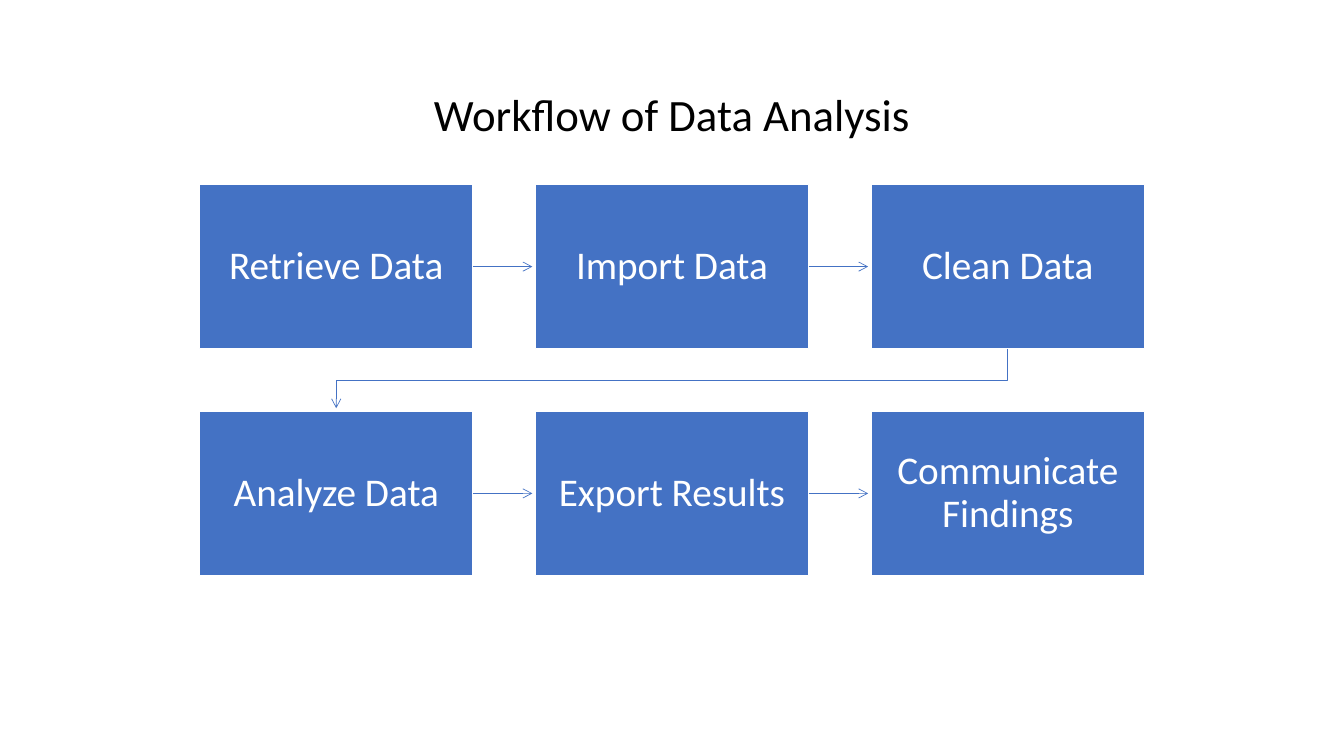
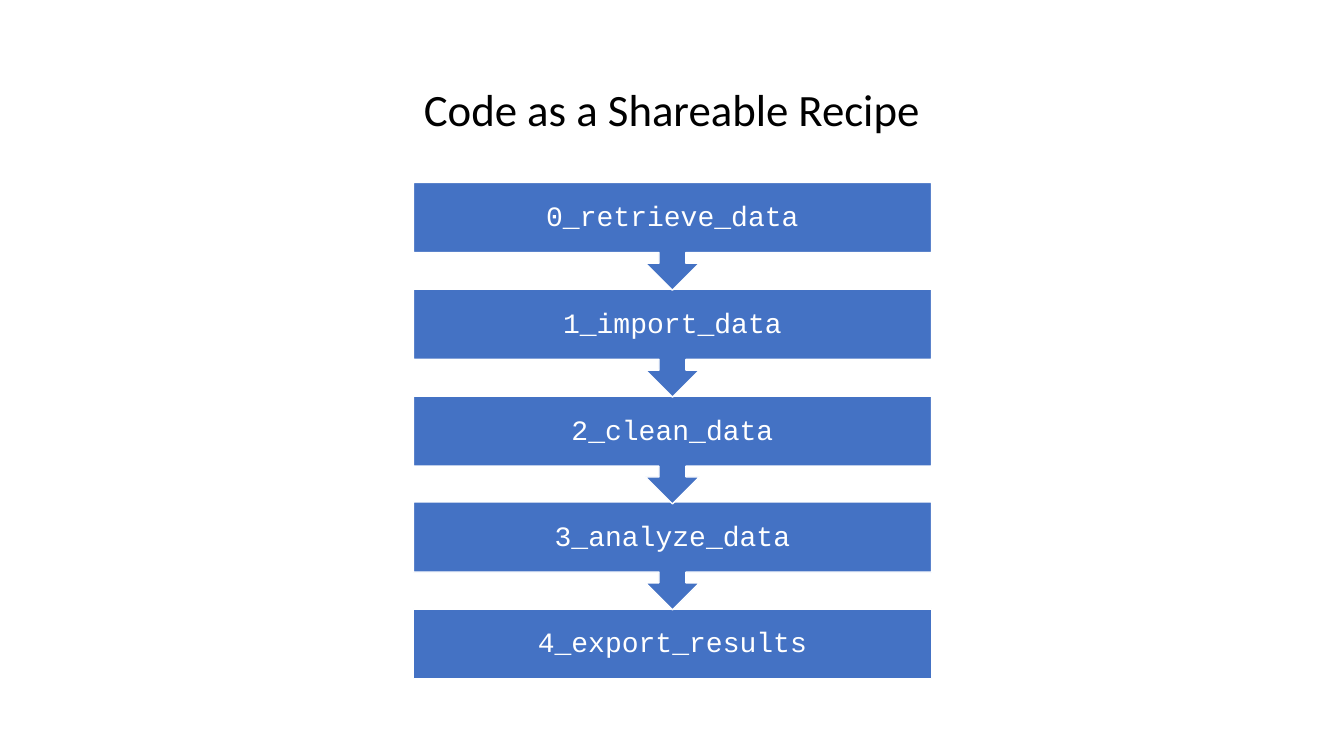
from dataclasses import dataclass

from lxml import etree
from pptx import Presentation
from pptx import util as u
from pptx.dml.color import RGBColor
from pptx.enum import shapes, text
from pptx.oxml.ns import qn

# Shared style
PX = 9144  # EMU in one px, 100 px to the inch
SLIDE_WIDTH, SLIDE_HEIGHT = 1333, 750
BLUE = RGBColor(0x44, 0x72, 0xC4)
WHITE = RGBColor(0xFF, 0xFF, 0xFF)
BLACK = RGBColor(0x00, 0x00, 0x00)
BODY_FONT, CODE_FONT = "Calibri", "Courier New"
RIGHT_SIDE = 3


@dataclass(frozen=True)
class TextStyle:
    font: str
    size: int
    color: RGBColor
    line_spacing: float = 1.0


@dataclass(frozen=True)
class Box:
    label: str
    left: int
    top: int
    width: int
    height: int


TITLE_STYLE = TextStyle(BODY_FONT, 32, BLACK)
STEP_STYLE = TextStyle(BODY_FONT, 28, WHITE, 0.9)
CODE_STYLE = TextStyle(CODE_FONT, 20, WHITE, 0.9)

# Workflow grid
WORKFLOW = [
    ["Retrieve Data", "Import Data", "Clean Data"],
    ["Analyze Data", "Export Results", "Communicate Findings"],
]
GRID_LEFT, GRID_TOP = 198, 183
STEP_WIDTH, STEP_HEIGHT = 271, 163
COLUMN_PITCH, ROW_PITCH = 333, 225
ARROW_LENGTH, TURN_DROP = 59, 31

# Stack of scripts
SCRIPTS = ["0_retrieve_data", "1_import_data", "2_clean_data",
           "3_analyze_data", "4_export_results"]
STACK_LEFT, STACK_TOP, STACK_WIDTH = 410, 181, 514
BAR_HEIGHT, CALLOUT_HEIGHT = 69, 107
STACK_SPAN = 423  # first bar top to last bar top


def px(length: int) -> u.Emu:
    return u.Emu(length * PX)


def write_text(shape, label: str, style: TextStyle, inset: int | None = None) -> None:
    frame = shape.text_frame
    frame.text = label
    frame.word_wrap = True
    if inset is not None:
        frame.vertical_anchor = text.MSO_ANCHOR.MIDDLE
        frame.margin_left = frame.margin_right = px(inset)
        frame.margin_top = frame.margin_bottom = px(inset)
    paragraph = frame.paragraphs[0]
    paragraph.alignment = text.PP_ALIGN.CENTER
    paragraph.line_spacing = style.line_spacing
    font = paragraph.runs[0].font
    font.name, font.size = style.font, u.Pt(style.size)
    font.color.rgb = style.color


def add_title(slide, title: Box) -> None:
    shape = slide.shapes.add_textbox(
        px(title.left), px(title.top), px(title.width), px(title.height))
    write_text(shape, title.label, TITLE_STYLE)
    shape.text_frame.auto_size = text.MSO_AUTO_SIZE.SHAPE_TO_FIT_TEXT


def add_box(slide, box: Box, kind: shapes.MSO_SHAPE, style: TextStyle, inset: int):
    shape = slide.shapes.add_shape(
        kind, px(box.left), px(box.top), px(box.width), px(box.height))
    shape.shadow.inherit = False
    shape.fill.solid()
    shape.fill.fore_color.rgb = BLUE
    shape.line.color.rgb = WHITE
    shape.line.width = u.Pt(1)
    write_text(shape, box.label, style, inset)
    return shape


def style_arrow(arrow) -> None:
    """Thin blue line with an open head at its end and no shadow."""
    arrow.line.color.rgb = BLUE
    arrow.line.width = u.Pt(0.5)
    properties = arrow.element.spPr
    etree.SubElement(properties.find(qn("a:ln")), qn("a:tailEnd"), type="arrow")
    etree.SubElement(properties, qn("a:effectLst"))


def add_straight_arrow(slide, source) -> None:
    start = source.left + source.width
    middle = source.top + source.height // 2
    arrow = slide.shapes.add_connector(
        shapes.MSO_CONNECTOR.STRAIGHT, start, middle,
        start + px(ARROW_LENGTH), middle)
    arrow.begin_connect(source, RIGHT_SIDE)
    style_arrow(arrow)


def add_turn_arrow(slide, source, target) -> None:
    """Lead from the end of one row to the start of the next."""
    start_x = source.left + source.width // 2
    end_x = target.left + target.width // 2
    start_y = source.top + source.height
    turn_y, end_y = start_y + px(TURN_DROP), start_y + px(ARROW_LENGTH)
    builder = slide.shapes.build_freeform(start_x, start_y)
    builder.add_line_segments(
        [(start_x, turn_y), (end_x, turn_y), (end_x, end_y)], close=False)
    arrow = builder.convert_to_shape()
    arrow.fill.background()
    style_arrow(arrow)


def build_workflow(slide) -> None:
    rows = [
        [add_box(slide,
                 Box(label, GRID_LEFT + column * COLUMN_PITCH,
                     GRID_TOP + row * ROW_PITCH, STEP_WIDTH, STEP_HEIGHT),
                 shapes.MSO_SHAPE.RECTANGLE, STEP_STYLE, 22)
         for column, label in enumerate(labels)]
        for row, labels in enumerate(WORKFLOW)
    ]
    for steps in rows:
        for step in steps[:-1]:
            add_straight_arrow(slide, step)
    for upper, lower in zip(rows, rows[1:]):
        add_turn_arrow(slide, upper[-1], lower[0])
    add_title(slide, Box("Workflow of Data Analysis", 409, 81, 515, 64))


def build_recipe(slide) -> None:
    last = len(SCRIPTS) - 1
    # Bottom bar first, so that each arrow lies over the bar below it
    for index in range(last, -1, -1):
        is_last = index == last
        kind = (shapes.MSO_SHAPE.RECTANGLE if is_last
                else shapes.MSO_SHAPE.DOWN_ARROW_CALLOUT)
        bar = Box(SCRIPTS[index], STACK_LEFT,
                  STACK_TOP + round(index * STACK_SPAN / last), STACK_WIDTH,
                  BAR_HEIGHT if is_last else CALLOUT_HEIGHT)
        add_box(slide, bar, kind, CODE_STYLE, 16)
    add_title(slide, Box("Code as a Shareable Recipe", 308, 76, 717, 64))


def main() -> None:
    presentation = Presentation()
    presentation.slide_width = px(SLIDE_WIDTH)
    presentation.slide_height = px(SLIDE_HEIGHT)
    blank = presentation.slide_layouts[6]
    for build in (build_workflow, build_recipe):
        build(presentation.slides.add_slide(blank))
    presentation.save("out.pptx")


if __name__ == "__main__":
    main()
